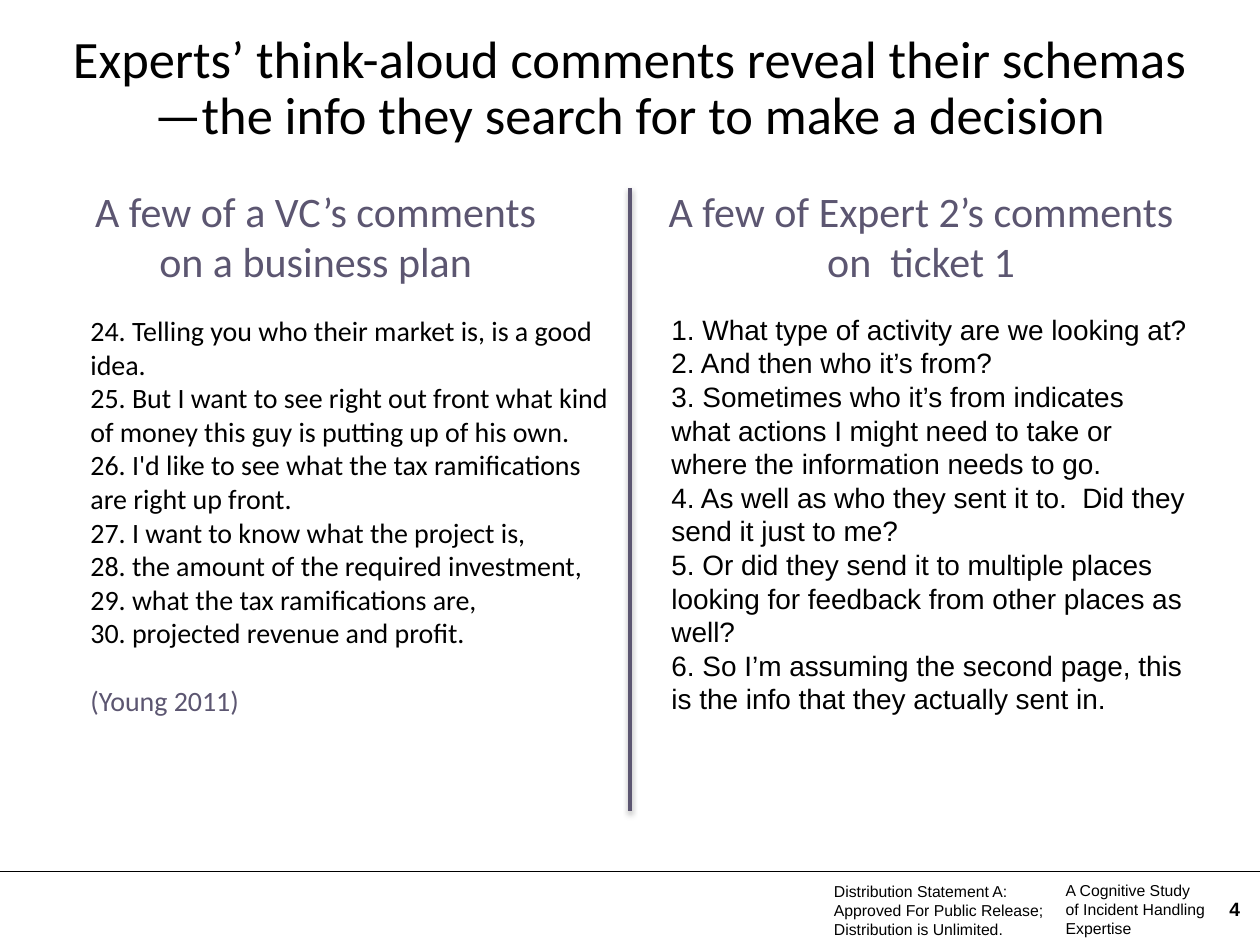
from dataclasses import dataclass

from lxml import etree
from pptx import Presentation
from pptx.dml.color import RGBColor
from pptx.enum.shapes import MSO_CONNECTOR, MSO_SHAPE
from pptx.enum.text import MSO_ANCHOR, PP_ALIGN
from pptx.oxml.ns import qn
from pptx.util import Pt


@dataclass(frozen=True)
class Theme:
    ink: RGBColor = RGBColor(0x00, 0x00, 0x00)
    accent: RGBColor = RGBColor(0x5C, 0x56, 0x71)
    paper: RGBColor = RGBColor(0xFF, 0xFF, 0xFF)
    main_font: str = "Calibri"
    plain_font: str = "Arial"
    title: int = 30
    heading: int = 24
    body: int = 16
    page: int = 11
    footer: int = 9


THEME = Theme()

TITLE = ("Experts’ think-aloud comments reveal their schemas"
         "—the info they search for to make a decision")
VC_COMMENTS = [
    "24. Telling you who their market is, is a good idea.",
    "25. But I want to see right out front what kind of money this guy is putting up of his own.",
    "26. I'd like to see what the tax ramifications are right up front.",
    "27. I want to know what the project is,",
    "28. the amount of the required investment,",
    "29. what the tax ramifications are,",
    "30. projected revenue and profit.",
]
EXPERT_COMMENTS = [
    "1. What type of activity are we looking at?",
    "2. And then who it’s from?",
    "3. Sometimes who it’s from indicates what actions I might need to take "
    "or where the information needs to go.",
    "4. As well as who they sent it to.  Did they send it just to me?",
    "5. Or did they send it to multiple places looking for feedback from other places as well?",
    "6. So I’m assuming the second page, this is the info that they actually sent in.",
]


def write(frame, text, *, size, font=THEME.main_font, color=THEME.ink, bold=False,
          align=PP_ALIGN.LEFT, spacing=None, before=None):
    """Add one paragraph, filling the empty first one if there is one."""
    paragraph = frame.paragraphs[0] if not frame.text else frame.add_paragraph()
    paragraph.text = text
    paragraph.alignment = align
    if spacing is not None:
        paragraph.line_spacing = spacing
    if before is not None:
        paragraph.space_before = before
    for run in paragraph.runs:
        run.font.size = Pt(size)
        run.font.name = font
        run.font.bold = bold
        run.font.color.rgb = color


def set_frame(frame, padded=True, anchor=MSO_ANCHOR.TOP):
    frame.word_wrap = True
    frame.vertical_anchor = anchor
    if not padded:
        frame.margin_left = frame.margin_right = Pt(0)
        frame.margin_top = frame.margin_bottom = Pt(0)
    return frame


def add_frame(slide, box, **layout):
    return set_frame(slide.shapes.add_textbox(*map(Pt, box)).text_frame, **layout)


def add_rule(slide, start, end, color, width):
    rule = slide.shapes.add_connector(MSO_CONNECTOR.STRAIGHT, *map(Pt, start + end))
    rule.line.color.rgb = color
    rule.line.width = Pt(width)
    return etree.SubElement(rule._element.spPr, qn("a:effectLst"))


def add_title(slide, box):
    write(add_frame(slide, box, padded=False), TITLE, size=THEME.title,
          align=PP_ALIGN.CENTER, spacing=0.9)


def add_heading(slide, box, text):
    panel = slide.shapes.add_shape(MSO_SHAPE.RECTANGLE, *map(Pt, box))
    panel.shadow.inherit = False
    panel.fill.solid()
    panel.fill.fore_color.rgb = THEME.paper
    panel.line.fill.background()
    write(set_frame(panel.text_frame), text, size=THEME.heading,
          color=THEME.accent, align=PP_ALIGN.CENTER)


def add_comments(slide, box, comments, font, source=None):
    frame = add_frame(slide, box)
    for comment in comments:
        write(frame, comment, size=THEME.body, font=font)
    if source:
        write(frame, source, size=THEME.body, font=font, color=THEME.accent,
              before=Pt(1.2 * THEME.body))


def add_divider(slide, x, top, bottom):
    """Draw the column divider with its soft shadow underneath."""
    effects = add_rule(slide, (x, top), (x, bottom), THEME.accent, 2)
    shadow = etree.SubElement(effects, qn("a:outerShdw"), blurRad="40000",
                              dist="20000", dir="5400000", rotWithShape="0")
    shade = etree.SubElement(shadow, qn("a:srgbClr"), val=str(THEME.ink))
    etree.SubElement(shade, qn("a:alpha"), val="38000")


def add_footer(slide, box):
    left, top, width, height = box
    add_rule(slide, (left, top), (left + width, top), THEME.ink, 1)
    notices = [
        (476.6, 6, 129.6, "Distribution Statement A: Approved For Public Release; "
                          "Distribution is Unlimited."),
        (609, 5.3, 117.4, "A Cognitive Study\nof Incident Handling Expertise"),
    ]
    for x, drop, notice_width, notice in notices:
        frame = add_frame(slide, (left + x, top + drop, notice_width, 32.4), padded=False)
        write(frame, notice, size=THEME.footer, font=THEME.plain_font)
    page = add_frame(slide, (left + width - 45.4, top + 14.6, 34, 13.5),
                     padded=False, anchor=MSO_ANCHOR.MIDDLE)
    write(page, "4", size=THEME.page, font=THEME.plain_font, bold=True,
          align=PP_ALIGN.RIGHT, spacing=Pt(13))


def main():
    deck = Presentation()
    deck.slide_width, deck.slide_height = Pt(720), Pt(540)
    slide = deck.slides.add_slide(deck.slide_layouts[6])

    add_footer(slide, (0, 498, 720, 42))
    add_title(slide, (33, 18.7, 654, 66.2))
    add_comments(slide, (44.6, 175.7, 315.4, 239.8), VC_COMMENTS,
                 THEME.main_font, source="(Young 2011)")
    add_divider(slide, 360, 107.3, 463.7)
    add_heading(slide, (36, 102.2, 288.7, 65.5),
                "A few of a VC’s comments on a business plan")
    add_heading(slide, (368.6, 102.2, 315.4, 65.5),
                "A few of Expert 2’s comments on  ticket 1")
    add_comments(slide, (376.6, 175, 308.9, 269.3), EXPERT_COMMENTS, THEME.plain_font)

    deck.save("out.pptx")


if __name__ == "__main__":
    main()
